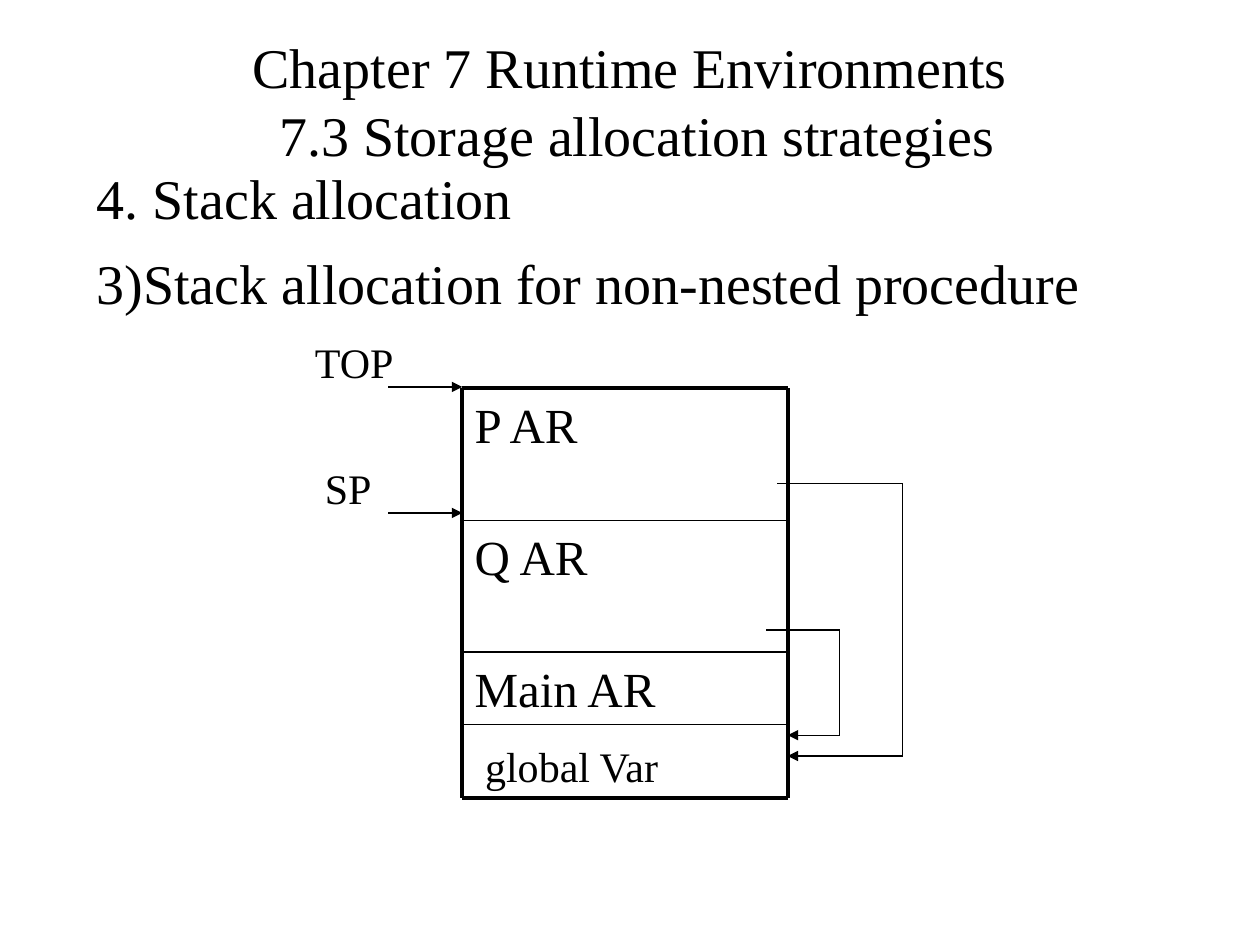
from dataclasses import dataclass
from itertools import pairwise

from lxml import etree
from pptx import Presentation
from pptx.dml.color import RGBColor
from pptx.enum.shapes import MSO_CONNECTOR
from pptx.enum.text import MSO_ANCHOR, MSO_AUTO_SIZE, PP_ALIGN
from pptx.oxml.ns import qn
from pptx.shapes.connector import Connector
from pptx.slide import Slide
from pptx.text.text import TextFrame
from pptx.util import Cm, Pt

STRAIGHT = MSO_CONNECTOR.STRAIGHT
TOP, MIDDLE = MSO_ANCHOR.TOP, MSO_ANCHOR.MIDDLE
LEFT, CENTER = PP_ALIGN.LEFT, PP_ALIGN.CENTER
NO_FIT, GROW = MSO_AUTO_SIZE.NONE, MSO_AUTO_SIZE.SHAPE_TO_FIT_TEXT
TITLE_ONLY = 5

Point = tuple[float, float]


@dataclass(frozen=True)
class Theme:
    font: str = "Times New Roman"
    ink: RGBColor = RGBColor(0, 0, 0)
    heading: float = 32
    record: float = 28
    label: float = 24
    frame: float = 2.25
    divider: float = 1
    thin: float = 0.75


@dataclass(frozen=True)
class Box:
    left: float
    top: float
    width: float
    height: float


@dataclass(frozen=True)
class Label:
    text: str
    box: Box
    size: float
    wrap: bool = True
    grow: bool = False


@dataclass(frozen=True)
class Route:
    """A chain of straight lines through points given in centimetres."""
    points: tuple[Point, ...]
    weight: float
    arrow: bool = False


THEME = Theme()

# Edges of the stack, in centimetres
STACK_LEFT, STACK_RIGHT = 9.32, 15.88
STACK_TOP, Q_TOP, MAIN_TOP, GLOBAL_TOP, STACK_BOTTOM = 7.83, 10.49, 13.15, 14.61, 16.08
STACK_WIDTH = STACK_RIGHT - STACK_LEFT
POINTER_LEFT = 7.83

RECORDS = (
    ("P AR", STACK_TOP, Q_TOP),
    ("Q AR", Q_TOP, MAIN_TOP),
    ("Main AR", MAIN_TOP, STACK_BOTTOM),
)
LABELS = (
    Label("TOP", Box(6.1, 6.65, 2.11, 1.27), THEME.label, wrap=False, grow=True),
    Label("SP", Box(6.3, 9.19, 1.45, 1.27), THEME.label, wrap=False, grow=True),
    Label("global Var", Box(9.53, 14.81, 6.15, 1.27), THEME.label, grow=True),
)
RULES = (
    (STACK_TOP, THEME.frame),
    (Q_TOP, THEME.divider),
    (MAIN_TOP, THEME.divider),
    (GLOBAL_TOP, THEME.thin),
    (STACK_BOTTOM, THEME.frame),
)
POINTER_HEIGHTS = (7.8, 10.34)
# Start x, start y, outer x, end y of each link back to the global area
LINKS = ((15.67, 9.74, 18.2, 15.24), (15.45, 12.7, 16.93, 14.82))


def style_text(tf: TextFrame, size: float, align: PP_ALIGN = LEFT) -> None:
    for p in tf.paragraphs:
        p.alignment = align
        for r in p.runs:
            r.font.name = THEME.font
            r.font.size = Pt(size)
            r.font.color.rgb = THEME.ink


def add_label(s: Slide, label: Label) -> TextFrame:
    b = label.box
    sp = s.shapes.add_textbox(Cm(b.left), Cm(b.top), Cm(b.width), Cm(b.height))
    tf = sp.text_frame
    tf.text = label.text
    tf.word_wrap = label.wrap
    tf.auto_size = GROW if label.grow else NO_FIT
    tf.vertical_anchor = TOP
    style_text(tf, label.size)
    return tf


def add_line(s: Slide, start: Point, end: Point, weight: float) -> Connector:
    line = s.shapes.add_connector(STRAIGHT, *map(Cm, start + end))
    line.line.color.rgb = THEME.ink
    line.line.width = Pt(weight)
    etree.SubElement(line._element.spPr, qn("a:effectLst"))
    return line


def add_route(s: Slide, route: Route) -> None:
    lines = [add_line(s, a, b, route.weight) for a, b in pairwise(route.points)]
    if route.arrow:
        ln = lines[-1].line._get_or_add_ln()
        etree.SubElement(ln, qn("a:tailEnd"), type="triangle")


def add_title(s: Slide, text: str) -> None:
    sp = s.shapes.title
    sp.left, sp.top, sp.width, sp.height = Cm(1.91), Cm(0.43), Cm(21.59), Cm(3.18)
    tf = sp.text_frame
    tf.text = text
    tf.word_wrap = True
    tf.auto_size = NO_FIT
    tf.vertical_anchor = MIDDLE
    style_text(tf, THEME.heading, CENTER)


def add_body(s: Slide) -> None:
    text = "4. Stack allocation\n3)Stack allocation for non-nested procedure"
    tf = add_label(s, Label(text, Box(1.7, 3.18, 22.86, 14.81), THEME.heading))
    for p in tf.paragraphs[1:]:
        p.space_before = Pt(10)


def add_stack(s: Slide) -> None:
    for text, top, bottom in RECORDS:
        box = Box(STACK_LEFT, top, STACK_WIDTH, bottom - top)
        add_label(s, Label(text, box, THEME.record))
    for y, weight in RULES:
        add_line(s, (STACK_LEFT, y), (STACK_RIGHT, y), weight)
    for x in (STACK_LEFT, STACK_RIGHT):
        add_line(s, (x, STACK_TOP), (x, STACK_BOTTOM), THEME.frame)


def add_arrows(s: Slide) -> None:
    for x, y, outer, end in LINKS:
        points = ((x, y), (outer, y), (outer, end), (STACK_RIGHT, end))
        add_route(s, Route(points, THEME.thin, arrow=True))
    for y in POINTER_HEIGHTS:
        points = ((POINTER_LEFT, y), (STACK_LEFT, y))
        add_route(s, Route(points, THEME.thin, arrow=True))


def main() -> None:
    prs = Presentation()
    prs.slide_width, prs.slide_height = Cm(25.4), Cm(19.05)
    s = prs.slides.add_slide(prs.slide_layouts[TITLE_ONLY])
    add_title(s, "Chapter 7 Runtime Environments\v 7.3 Storage allocation strategies")
    add_body(s)
    add_stack(s)
    add_arrows(s)
    for label in LABELS:
        add_label(s, label)
    prs.save("out.pptx")


if __name__ == "__main__":
    main()
